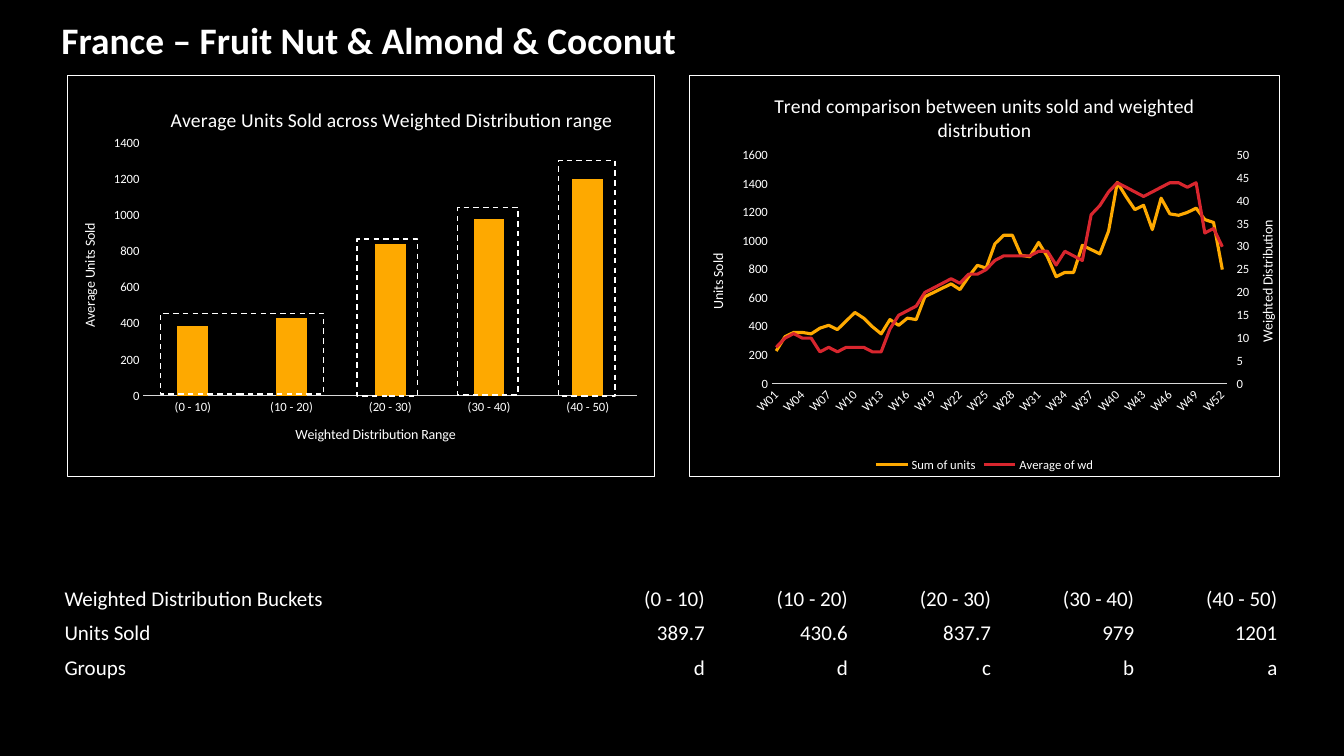
from copy import deepcopy

from pptx import Presentation
from pptx.chart.data import CategoryChartData
from pptx.dml.color import RGBColor
from pptx.enum.chart import XL_CHART_TYPE as ChartType, XL_TICK_MARK as TickMark
from pptx.enum.chart import XL_LEGEND_POSITION as LegendPosition
from pptx.enum.dml import MSO_LINE
from pptx.enum.shapes import MSO_SHAPE
from pptx.enum.text import MSO_ANCHOR, PP_ALIGN
from pptx.oxml import parse_xml
from pptx.oxml.ns import nsdecls, qn
from pptx.util import Inches, Pt

BLACK, WHITE, GREY, ORANGE, RED = "000000", "FFFFFF", "D9D9D9", "FEA900", "D8262E"

BUCKETS = ["(0 - 10)", "(10 - 20)", "(20 - 30)", "(30 - 40)", "(40 - 50)"]
AVERAGE_UNITS = [390, 430, 840, 980, 1200]
WEEKS = [f"W{week:02}" for week in range(1, 53)]
WEEKLY_UNITS = [
    230, 330, 360, 360, 350, 390, 410, 380, 440, 500, 460, 400, 350, 450, 410, 460, 450, 610,
    640, 670, 700, 660, 750, 830, 810, 980, 1040, 1040, 900, 890, 990, 890, 750, 780, 780, 970,
    940, 910, 1070, 1410, 1310, 1220, 1250, 1080, 1300, 1190, 1180, 1200, 1230, 1150, 1130, 800]
WEEKLY_DISTRIBUTION = [
    8, 10, 11, 10, 10, 7, 8, 7, 8, 8, 8, 7, 7, 12, 15, 16, 17, 20, 21, 22, 23, 22, 24, 24, 25, 27,
    28, 28, 28, 28, 29, 29, 26, 29, 28, 27, 37, 39, 42, 44, 43, 42, 41, 42, 43, 44, 44, 43, 44,
    33, 34, 30]
TABLE_ROWS = [
    ["Weighted Distribution Buckets", *BUCKETS],
    ["Units Sold", "389.7", "430.6", "837.7", "979", "1201"],
    ["Groups", "d", "d", "c", "b", "a"]]
GROUP_FRAMES = [(1.59, 3.11, 1.62, 0.8), (3.54, 2.37, 0.6, 1.56),
                (4.54, 2.06, 0.6, 1.86), (5.54, 1.59, 0.56, 2.34)]


def rgb(color):
    return RGBColor.from_string(color)


def line_xml(tag, color, points):
    return (f'<a:{tag} {nsdecls("a")} w="{Pt(points)}"><a:solidFill>'
            f'<a:srgbClr val="{color}"/></a:solidFill></a:{tag}>')


def place_in_chart(element, index, **values):
    """Give a chart title or plot area a manual layout as fractions of the chart."""
    for automatic in element.findall(qn("c:layout")):
        element.remove(automatic)
    settings = "".join(f'<c:{name} val="{value}"/>' for name, value in values.items())
    element.insert(index, parse_xml(
        f"<c:layout {nsdecls('c')}><c:manualLayout>{settings}</c:manualLayout></c:layout>"))


def add_right_axis(chart, title, maximum, step):
    """Move the last series of a line chart to a second value axis."""
    left_lines = chart.plots[0]._element
    right_lines = deepcopy(left_lines)
    left_lines.remove(left_lines.findall(qn("c:ser"))[-1])
    right_lines.remove(right_lines.find(qn("c:ser")))
    left_lines.addnext(right_lines)
    category_id, value_id = "50010", "50020"
    for axis_id, number in zip(right_lines.findall(qn("c:axId")), (category_id, value_id)):
        axis_id.set("val", number)
    categories = deepcopy(chart.category_axis._element)
    values = deepcopy(chart.value_axis._element)
    chart.value_axis._element.addnext(values)
    values.addnext(categories)
    for axis, settings in (
            (categories, dict(axId=category_id, crossAx=value_id, delete="1")),
            (values, dict(axId=value_id, crossAx=category_id, axPos="r", crosses="max",
                          majorTickMark="out", majorUnit=str(step)))):
        for name, value in settings.items():
            axis.find(qn(f"c:{name}")).set("val", value)
    values.find(qn("c:scaling")).find(qn("c:max")).set("val", str(maximum))
    next(values.iter(qn("a:t"))).text = title


class DarkSlide:
    font_name = "Calibri"

    def __init__(self, presentation):
        self.slide = presentation.slides.add_slide(presentation.slide_layouts[5])
        self.slide.background.fill.solid()
        self.slide.background.fill.fore_color.rgb = rgb(BLACK)

    def style(self, font, size, bold=False):
        font.name, font.size, font.bold = self.font_name, Pt(size), bold
        font.color.rgb = rgb(WHITE)

    def title(self, text, *box):
        title = self.slide.shapes.title
        title.left, title.top, title.width, title.height = map(Inches, box)
        title.text_frame.text = text
        title.text_frame.vertical_anchor = MSO_ANCHOR.TOP
        paragraph = title.text_frame.paragraphs[0]
        paragraph.alignment, paragraph.line_spacing = PP_ALIGN.LEFT, 0.8
        self.style(paragraph.runs[0].font, 26.7, True)

    def caption(self, holder, text, size):
        """Set the title of a chart or an axis."""
        holder.text_frame.text = text
        self.style(holder.text_frame.paragraphs[0].runs[0].font, size)

    def chart(self, kind, box, title, categories, series, value_title, maximum, plot_area):
        data = CategoryChartData()
        data.categories = categories
        for name, values, _ in series:
            data.add_series(name, values)
        chart = self.slide.shapes.add_chart(kind, *map(Inches, box), data).chart
        self.style(chart.font, 10)
        chart.has_legend = False
        self.caption(chart.chart_title, title, 14)
        chart._chartSpace.find(qn("c:chart")).addnext(parse_xml(
            f'<c:spPr {nsdecls("c", "a")}><a:noFill/>{line_xml("ln", WHITE, 0.75)}</c:spPr>'))
        x, y, w, h = plot_area
        place_in_chart(chart._chartSpace.chart.plotArea, 0, layoutTarget="inner",
                       xMode="edge", yMode="edge", x=x, y=y, w=w, h=h)
        for axis in (chart.category_axis, chart.value_axis):
            axis.has_major_gridlines = False
            axis.major_tick_mark = axis.minor_tick_mark = TickMark.NONE
            self.style(axis.tick_labels.font, 9)
        line = chart.category_axis.format.line
        line.color.rgb, line.width = rgb(GREY), Pt(0.75)
        value_axis = chart.value_axis
        value_axis.format.line.fill.background()
        value_axis.minimum_scale, value_axis.maximum_scale = 0, maximum
        value_axis.major_unit = 200
        self.caption(value_axis.axis_title, value_title, 10)
        value_axis.axis_title.text_frame._txBody.bodyPr.set("rot", "-5400000")
        chart.plots[0].vary_by_categories = False
        for drawn, (_, _, color) in zip(chart.plots[0].series, series):
            if kind == ChartType.LINE:
                drawn.smooth = False
                drawn.format.line.color.rgb = rgb(color)
                drawn.format.line.width = Pt(2.25)
            else:
                drawn.format.fill.solid()
                drawn.format.fill.fore_color.rgb = rgb(color)
        return chart

    def legend(self, chart):
        chart.has_legend = True
        chart.legend.position = LegendPosition.BOTTOM
        chart.legend.include_in_layout = False
        self.style(chart.legend.font, 9)

    def dashed_frame(self, *box):
        shape = self.slide.shapes.add_shape(MSO_SHAPE.RECTANGLE, *map(Inches, box))
        shape.shadow.inherit = False
        shape.fill.background()
        shape.line.color.rgb, shape.line.width = rgb(WHITE), Pt(1)
        shape.line.dash_style = MSO_LINE.DASH

    def table(self, box, rows, widths, heights):
        table = self.slide.shapes.add_table(len(rows), len(widths), *map(Inches, box)).table
        table.first_row = table.horz_banding = False
        for column, width in zip(table.columns, widths):
            column.width = Inches(width)
        for r, texts in enumerate(rows):
            table.rows[r].height = Inches(heights[r])
            for c, text in enumerate(texts):
                cell = table.cell(r, c)
                cell.text = text
                cell.vertical_anchor = MSO_ANCHOR.BOTTOM
                cell.margin_left = cell.margin_right = cell.margin_top = Inches(0.01)
                cell.margin_bottom = 0
                paragraph = cell.text_frame.paragraphs[0]
                paragraph.alignment = PP_ALIGN.RIGHT if c else PP_ALIGN.LEFT
                self.style(paragraph.runs[0].font, 15)
                outer = {"L": c == 0, "R": c == len(widths) - 1,
                         "T": r == 0, "B": r == len(rows) - 1}
                for side, is_outer in outer.items():
                    border = line_xml(f"ln{side}", BLACK, 1 if is_outer else 0.5)
                    cell._tc.get_or_add_tcPr().append(parse_xml(border))
                cell.fill.background()


def main():
    presentation = Presentation()
    presentation.slide_width, presentation.slide_height = Inches(13.33), Inches(7.5)
    page = DarkSlide(presentation)
    page.title("France – Fruit Nut & Almond & Coconut", 0.51, 0.21, 10.84, 0.47)
    page.table((0.63, 5.73, 12.05, 1.03), TABLE_ROWS, [5.12, 1.25] + [1.42] * 4, [0.34, 0.34, 0.35])
    ranges = page.chart(
        ChartType.COLUMN_CLUSTERED, (0.66, 0.74, 5.84, 3.99),
        "Average Units Sold across Weighted Distribution range", BUCKETS,
        [("Series 1", AVERAGE_UNITS, ORANGE)], "Average Units Sold", 1400, (0.13, 0.17, 0.84, 0.63))
    ranges.plots[0].gap_width, ranges.plots[0].overlap = 219, -27
    page.caption(ranges.category_axis.axis_title, "Weighted Distribution Range", 10)
    place_in_chart(ranges.chart_title._element, 1, xMode="edge", yMode="edge", x=0.17, y=0.07)
    trend = page.chart(
        ChartType.LINE, (6.83, 0.74, 5.87, 3.99),
        "Trend comparison between units sold and weighted distribution", WEEKS,
        [("Sum of units", WEEKLY_UNITS, ORANGE), ("Average of wd", WEEKLY_DISTRIBUTION, RED)],
        "Units Sold", 1600, (0.14, 0.2, 0.77, 0.57))
    trend.category_axis._element.find(qn("c:txPr")).find(qn("a:bodyPr")).set("rot", "-2700000")
    page.legend(trend)
    add_right_axis(trend, "Weighted Distribution", 50, 5)
    for frame in GROUP_FRAMES:
        page.dashed_frame(*frame)
    presentation.save("out.pptx")


if __name__ == "__main__":
    main()
